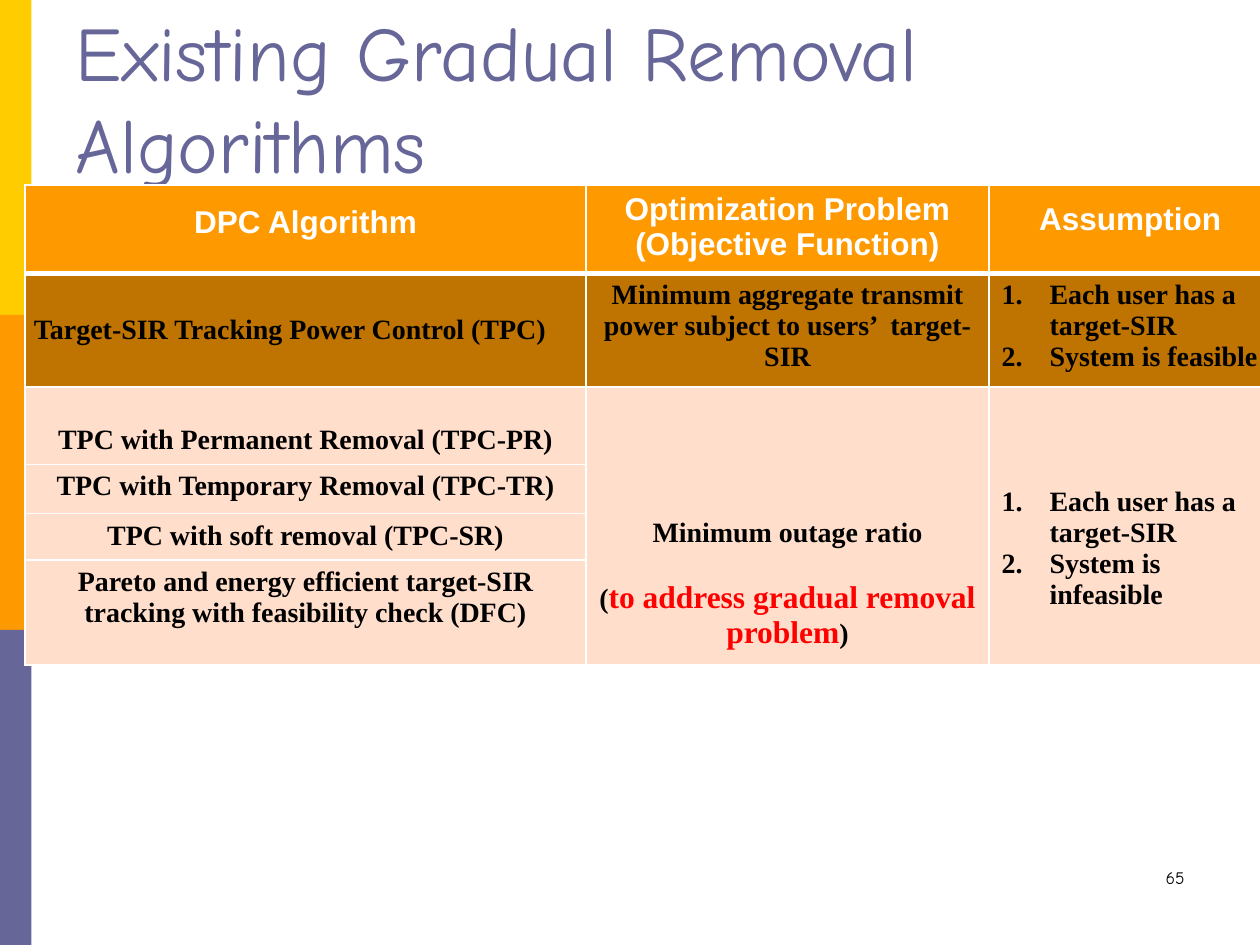
"""Build a slide with a table of gradual removal algorithms."""
from dataclasses import dataclass

from lxml.etree import SubElement
from pptx import Presentation
from pptx.dml.color import RGBColor
from pptx.enum.shapes import MSO_SHAPE
from pptx.enum.text import MSO_ANCHOR, MSO_AUTO_SIZE, PP_ALIGN
from pptx.oxml.ns import qn
from pptx.slide import Slide
from pptx.table import Table, _Cell
from pptx.util import Inches, Pt

YELLOW = RGBColor(0xFF, 0xCC, 0x00)
ORANGE = RGBColor(0xFF, 0x99, 0x00)
SLATE = RGBColor(0x66, 0x66, 0x99)
BROWN = RGBColor(0xBF, 0x73, 0x00)
PEACH = RGBColor(0xFF, 0xDE, 0xCB)
WHITE = RGBColor(0xFF, 0xFF, 0xFF)
BLACK = RGBColor(0x00, 0x00, 0x00)
RED = RGBColor(0xFF, 0x00, 0x00)

HEADER_FONT = {"name": "Arial", "size": Pt(18), "bold": True}
BODY_FONT = {"name": "Times New Roman", "size": Pt(16), "bold": True}
EMPHASIS_FONT = {**BODY_FONT, "size": Pt(18)}
TITLE_FONT = {"name": "Comic Neue", "size": Pt(44)}
NUMBER_FONT = {"name": "Comic Neue", "size": Pt(10)}

COLUMN_WIDTHS = (4.45, 3.2, 2.24)
ROW_HEIGHTS = (0.66, 0.85, 0.6, 0.39, 0.35, 0.78)
ROW_FILLS = (ORANGE, BROWN) + (PEACH,) * 4


@dataclass
class TextRun:
    text: str
    font: dict
    color: RGBColor = BLACK


@dataclass
class CellText:
    row: int
    column: int
    paragraphs: list[list[TextRun]]
    top: float = 0.05
    side: float = 0.1
    alignment: PP_ALIGN = PP_ALIGN.CENTER
    anchor: MSO_ANCHOR = MSO_ANCHOR.TOP
    numbered: bool = False
    gap: float = 0


def header(text: str) -> list[list[TextRun]]:
    return [[TextRun(text, HEADER_FONT, WHITE)]]


def body(*texts: str) -> list[list[TextRun]]:
    return [[TextRun(text, BODY_FONT)] for text in texts]


OUTAGE_TEXT = body("Minimum outage ratio") + [[
    TextRun("(", BODY_FONT),
    TextRun("to address gradual removal problem", EMPHASIS_FONT, RED),
    TextRun(")", BODY_FONT),
]]

CELL_TEXTS = (
    CellText(0, 0, header("DPC Algorithm"), top=0.16),
    CellText(0, 1, header("Optimization Problem (Objective Function)")),
    CellText(0, 2, header("Assumption"), top=0.13),
    CellText(1, 0, body("Target-SIR Tracking Power Control (TPC)"), top=0, side=0.07,
             alignment=PP_ALIGN.LEFT, anchor=MSO_ANCHOR.MIDDLE),
    CellText(1, 1, body("Minimum aggregate transmit power subject to users’  target-SIR")),
    CellText(1, 2, body("Each user has a target-SIR", "System is feasible"),
             alignment=PP_ALIGN.LEFT, numbered=True),
    CellText(2, 0, body("TPC with Permanent Removal (TPC-PR)"), top=0.3),
    CellText(2, 1, OUTAGE_TEXT, top=1.04, gap=18),
    CellText(2, 2, body("Each user has a target-SIR", "System is infeasible"), top=0.79,
             alignment=PP_ALIGN.LEFT, numbered=True),
    CellText(3, 0, body("TPC with Temporary Removal (TPC-TR)")),
    CellText(4, 0, body("TPC with soft removal (TPC-SR)")),
    CellText(5, 0, body("Pareto and energy efficient target-SIR tracking with "
                        "feasibility check (DFC)")),
)


def apply_format(target: object, values: dict) -> None:
    for name, value in values.items():
        setattr(target, name, value)


def add_run(paragraph, text_run: TextRun) -> None:
    run = paragraph.add_run()
    run.text = text_run.text
    apply_format(run.font, text_run.font)
    run.font.color.rgb = text_run.color


def style_cell(cell: _Cell, fill: RGBColor, top_width: float, bottom_width: float) -> None:
    properties = cell._tc.get_or_add_tcPr()
    widths = {"a:lnL": 1, "a:lnR": 1, "a:lnT": top_width, "a:lnB": bottom_width}
    for tag, width in widths.items():
        line = SubElement(properties, qn(tag), w=str(Pt(width)))
        SubElement(SubElement(line, qn("a:solidFill")), qn("a:srgbClr"), val=str(WHITE))
    cell.fill.solid()
    cell.fill.fore_color.rgb = fill


def number_paragraph(paragraph) -> None:
    properties = paragraph._p.get_or_add_pPr()
    properties.set("marL", str(Inches(0.38)))
    properties.set("indent", str(Inches(-0.38)))
    SubElement(properties, qn("a:buFont"), typeface="+mj-lt")
    SubElement(properties, qn("a:buAutoNum"), type="arabicPeriod")


def fill_cell(table: Table, content: CellText) -> None:
    cell = table.cell(content.row, content.column)
    apply_format(cell, {
        "margin_left": Inches(content.side),
        "margin_right": Inches(content.side),
        "margin_top": Inches(content.top),
        "margin_bottom": Inches(min(content.top, 0.05)),
        "vertical_anchor": content.anchor,
    })
    frame = cell.text_frame
    for index, runs in enumerate(content.paragraphs):
        paragraph = frame.add_paragraph() if index else frame.paragraphs[0]
        paragraph.alignment = content.alignment
        if index and content.gap:
            paragraph.space_before = Pt(content.gap)
        if content.numbered:
            number_paragraph(paragraph)
        for text_run in runs:
            add_run(paragraph, text_run)


def add_side_bars(slide: Slide) -> None:
    for index, color in enumerate((YELLOW, ORANGE, SLATE)):
        bar = slide.shapes.add_shape(MSO_SHAPE.RECTANGLE, 0, Inches(2.5 * index),
                                     Inches(0.25), Inches(2.5))
        bar.shadow.inherit = False
        bar.fill.solid()
        bar.fill.fore_color.rgb = color
        bar.line.fill.background()


def add_title(slide: Slide) -> None:
    title = slide.shapes.title
    apply_format(title, {"left": Inches(0.5), "top": Inches(0.3),
                         "width": Inches(9.22), "height": Inches(1.25)})
    apply_format(title.text_frame, {"vertical_anchor": MSO_ANCHOR.BOTTOM,
                                    "auto_size": MSO_AUTO_SIZE.NONE, "word_wrap": True})
    paragraph = title.text_frame.paragraphs[0]
    paragraph.alignment = PP_ALIGN.LEFT
    add_run(paragraph, TextRun("Existing Gradual Removal Algorithms", TITLE_FONT, SLATE))


def add_slide_number(slide: Slide) -> None:
    box = slide.shapes.add_textbox(Inches(7.17), Inches(6.83), Inches(2.33), Inches(0.5))
    box.text_frame.word_wrap = True
    paragraph = box.text_frame.paragraphs[0]
    paragraph.alignment = PP_ALIGN.RIGHT
    add_run(paragraph, TextRun("65", NUMBER_FONT))


def add_algorithm_table(slide: Slide) -> None:
    table = slide.shapes.add_table(
        len(ROW_HEIGHTS), len(COLUMN_WIDTHS), Inches(0.2), Inches(1.47),
        Inches(sum(COLUMN_WIDTHS)), Inches(sum(ROW_HEIGHTS))).table
    apply_format(table, {"first_row": False, "horz_banding": False})
    for column, width in zip(table.columns, COLUMN_WIDTHS):
        column.width = Inches(width)
    for index, (row, height) in enumerate(zip(table.rows, ROW_HEIGHTS)):
        row.height = Inches(height)
        for cell in row.cells:
            style_cell(cell, ROW_FILLS[index], 3 if index == 1 else 1, 3 if index == 0 else 1)
    for column in (1, 2):
        table.cell(2, column).merge(table.cell(5, column))
    for content in CELL_TEXTS:
        fill_cell(table, content)


def main() -> None:
    presentation = Presentation()
    apply_format(presentation, {"slide_width": Inches(10), "slide_height": Inches(7.5)})
    slide = presentation.slides.add_slide(presentation.slide_layouts[5])
    add_side_bars(slide)
    add_title(slide)
    add_slide_number(slide)
    add_algorithm_table(slide)
    presentation.save("out.pptx")


if __name__ == "__main__":
    main()
